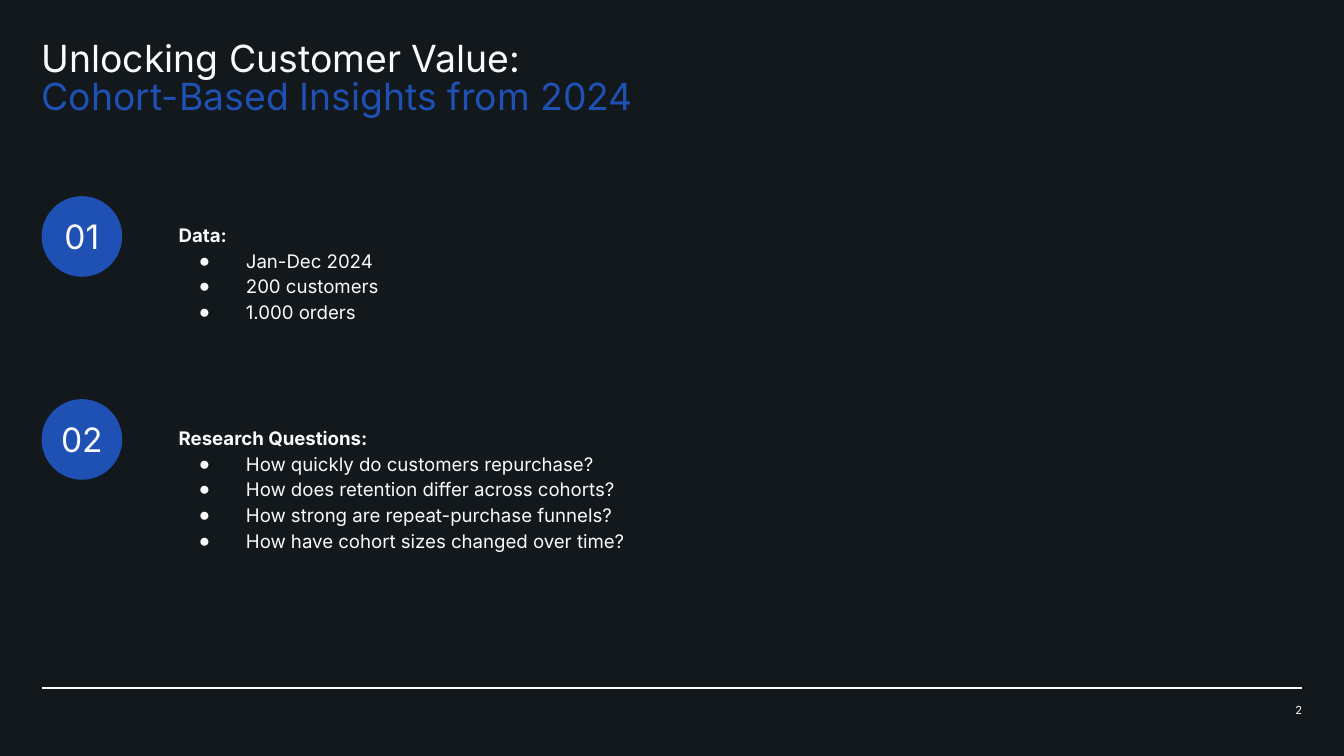
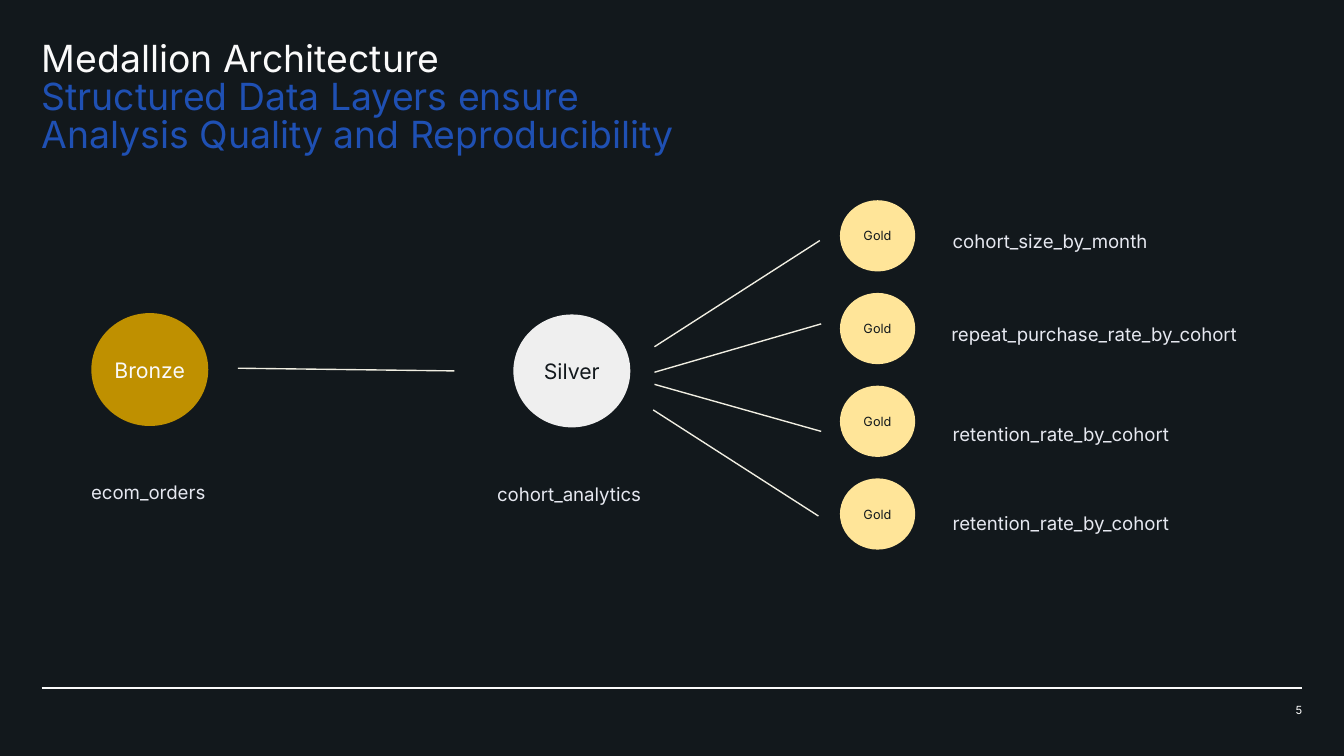
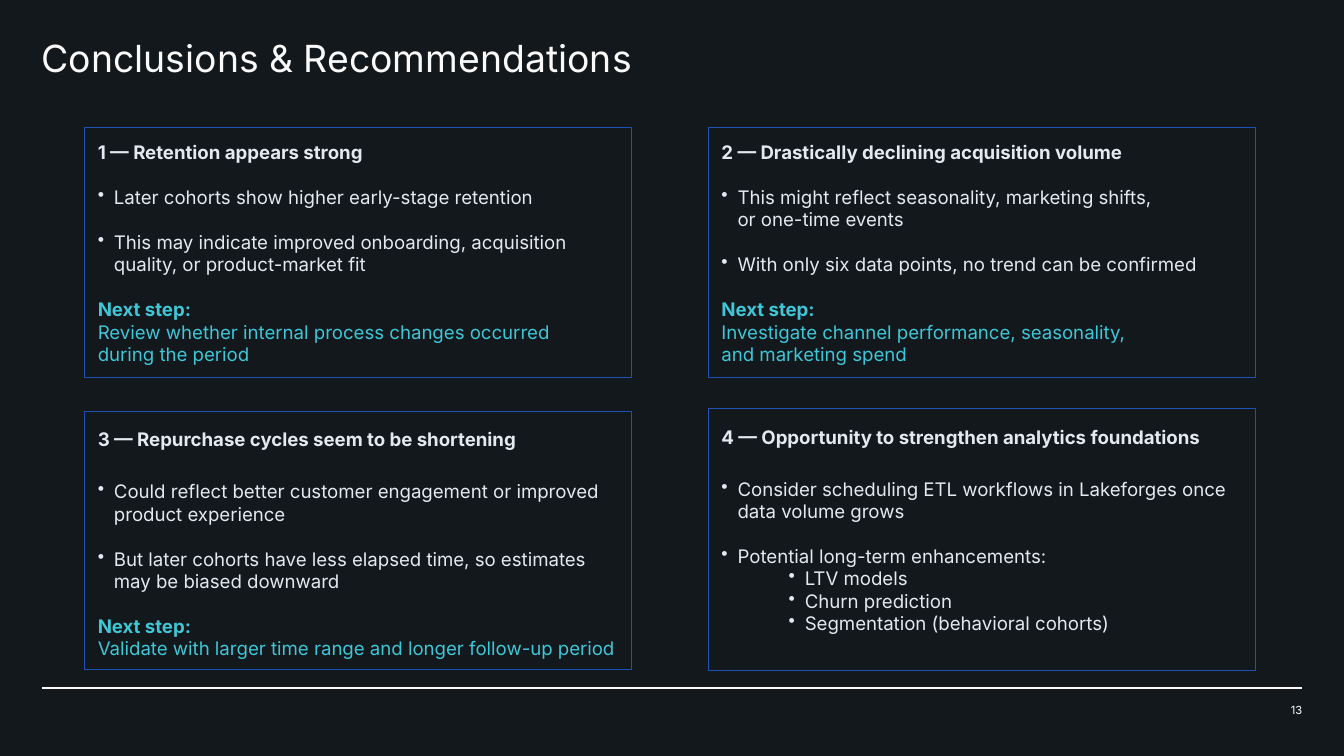
import pptx
import pptx.util
import pptx.dml.color
import pptx.enum.shapes
import pptx.enum.text
import pptx.oxml
import pptx.oxml.ns

Inches = pptx.util.Inches
Pt = pptx.util.Pt
Kind = pptx.enum.shapes.MSO_SHAPE
Align = pptx.enum.text.PP_ALIGN
Anchor = pptx.enum.text.MSO_ANCHOR
qn = pptx.oxml.ns.qn
FONT = "Inter"
HEX = {
    "dark": "12181C", "white": "FAFAFA", "blue": "1F50B3", "mist": "E6E8F0",
    "teal": "3FC6D7", "cream": "F0EEE2", "bronze": "BF9000",
    "silver": "EFEFEF", "gold": "FFE599",
}
INK = {name: pptx.dml.color.RGBColor.from_string(code) for name, code in HEX.items()}


def write(box, text, size=10, color="white", bold=False, align=Align.LEFT,
          line=1.0, before=0, bullet=None, left=0, hang=0):
    frame = box.text_frame
    para = frame.paragraphs[0] if not frame.text else frame.add_paragraph()
    para.text = text
    para.alignment = align
    para.line_spacing = line
    para.space_before = Pt(before)
    for run in para.runs:
        run.font.name = FONT
        run.font.size = Pt(size)
        run.font.bold = bold
        run.font.color.rgb = INK[color]
    for gap in para._p.findall(qn("a:br")):
        gap.append(pptx.oxml.parse_xml(
            f'<a:rPr {pptx.oxml.ns.nsdecls("a")} sz="{int(size * 100)}">'
            f'<a:latin typeface="{FONT}"/></a:rPr>'))
    props = para._p.get_or_add_pPr()
    props.set("marL", str(Inches(left)))
    props.set("indent", str(Inches(-hang)))
    if bullet:
        props.append(props.makeelement(qn("a:buChar"), {"char": bullet}))
    else:
        props.append(props.makeelement(qn("a:buNone"), {}))


def fit(box, spot, pad=0.1, anchor=Anchor.TOP):
    box.left, box.top, box.width, box.height = map(Inches, spot)
    frame = box.text_frame
    frame.word_wrap = True
    frame.auto_size = pptx.enum.text.MSO_AUTO_SIZE.NONE
    frame.vertical_anchor = anchor
    frame.margin_left = frame.margin_right = Inches(pad)
    frame.margin_top = frame.margin_bottom = Inches(pad)
    return box


deck = pptx.Presentation()
deck.slide_width = Inches(10)
deck.slide_height = Inches(10) * 9 // 16
back = deck.slide_master.background.fill
back.solid()
back.fore_color.rgb = INK["dark"]

heads = [
    (3, "2", 0.77, ["Unlocking Customer Value:", "Cohort-Based Insights from 2024"]),
    (5, "5", 0.77, ["Medallion Architecture", "Structured Data Layers ensure",
                    "Analysis Quality and Reproducibility"]),
    (5, "13", 0.5, ["Conclusions & Recommendations"]),
]
slides = []
for layout, number, height, lines in heads:
    slide = deck.slides.add_slide(deck.slide_layouts[layout])
    title = fit(slide.shapes.title, (0.31, 0.31, 9.38, height), pad=0)
    for i, text in enumerate(lines):
        write(title, text, size=20, color="blue" if i else "white", line=0.85)
    folio = fit(slide.shapes.add_textbox(0, 0, 0, 0), (9.09, 5.23, 0.6, 0.08), pad=0)
    write(folio, number, size=6, align=Align.RIGHT)
    slides.append(slide)
intro, layers, close = slides

topics = [
    (1, 1.54, 6.08, "Data:", ["Jan-Dec 2024", "200 customers", "1.000 orders"]),
    (2, 3.05, 7.86, "Research Questions:", [
        "How quickly do customers repurchase?",
        "How does retention differ across cohorts?",
        "How strong are repeat-purchase funnels?",
        "How have cohort sizes changed over time?"]),
]
for slot, top, width, head, items in topics:
    body = fit(intro.placeholders[slot], (1.23, top, width, 0.85))
    write(body, head, bold=True, line=1.15)
    for item in items:
        write(body, item, line=1.15, bullet="●", left=0.5, hang=0.35)
for hole in list(intro.placeholders):
    if not hole.text_frame.text:
        hole._element.getparent().remove(hole._element)

discs = [
    (intro, (0.31, 1.46, 0.6, 0.6), "01", 18, "blue", "white"),
    (intro, (0.31, 2.97, 0.6, 0.6), "02", 18, "blue", "white"),
    (layers, (0.68, 2.33, 0.87, 0.84), "Bronze", 11.4, "bronze", "white"),
    (layers, (3.82, 2.34, 0.87, 0.84), "Silver", 11.4, "silver", "dark"),
]
for i in range(4):
    discs.append((layers, (6.25, 1.49 + 0.69 * i, 0.56, 0.53), "Gold", 6.8, "gold", "dark"))
for slide, spot, text, size, fill, ink in discs:
    disc = fit(slide.shapes.add_shape(Kind.OVAL, 0, 0, 0, 0), spot, pad=0, anchor=Anchor.MIDDLE)
    disc.shadow.inherit = False
    disc.fill.solid()
    disc.fill.fore_color.rgb = INK[fill]
    disc.line.fill.background()
    write(disc, text, size=size, color=ink, align=Align.CENTER)

labels = [
    ("ecom_orders", (0.58, 3.48, 1.06, 0.43)),
    ("cohort_analytics", (3.6, 3.49, 1.3, 0.43)),
    ("cohort_size_by_month", (6.99, 1.61, 1.76, 0.27)),
    ("repeat_purchase_rate_by_cohort", (6.98, 2.3, 2.56, 0.27)),
    ("retention_rate_by_cohort", (6.99, 3.05, 2.55, 0.27)),
    ("retention_rate_by_cohort", (6.99, 3.71, 2.55, 0.27)),
]
for text, spot in labels:
    write(fit(layers.shapes.add_textbox(0, 0, 0, 0), spot), text, color="mist")

links = [
    (1.77, 2.74, 3.38, 2.76),
    (4.87, 2.58, 6.1, 1.79),
    (4.87, 2.77, 6.11, 2.41),
    (6.11, 3.21, 4.87, 2.86),
    (6.09, 3.84, 4.86, 3.05),
]
rules = [(slide, (0.31, 5.12, 9.69, 5.12), "white") for slide in slides]
rules += [(layers, ends, "cream") for ends in links]
for slide, ends, color in rules:
    rule = slide.shapes.add_connector(pptx.enum.shapes.MSO_CONNECTOR.STRAIGHT, *map(Inches, ends))
    rule.line.color.rgb = INK[color]
    rule.line.width = Pt(0.75)
    props = rule._element.spPr
    props.append(props.makeelement(qn("a:effectLst"), {}))

cards = [
    ((0.63, 0.95, 4.07, 1.86), 1.0, 12, "1 — Retention appears strong",
     ["Later cohorts show higher early-stage retention",
      "This may indicate improved onboarding, acquisition\vquality, or product-market fit"],
     [], "Review whether internal process changes occurred\vduring the period"),
    ((5.27, 0.95, 4.07, 1.86), 1.0, 12, "2 — Drastically declining acquisition volume",
     ["This might reflect seasonality, marketing shifts,\vor one-time events",
      "With only six data points, no trend can be confirmed"],
     [], "Investigate channel performance, seasonality,\vand marketing spend"),
    ((0.63, 3.06, 4.07, 1.92), 1.15, 16, "3 — Repurchase cycles seem to be shortening",
     ["Could reflect better customer engagement or improved\vproduct experience",
      "But later cohorts have less elapsed time, so estimates\vmay be biased downward"],
     [], "Validate with larger time range and longer follow-up period"),
    ((5.27, 3.04, 4.07, 1.95), 1.15, 16, "4 — Opportunity to strengthen analytics foundations",
     ["Consider scheduling ETL workflows in Lakeforges once\vdata volume grows",
      "Potential long-term enhancements:"],
     ["LTV models", "Churn prediction", "Segmentation (behavioral cohorts)"], ""),
]
for spot, line, gap, head, points, subs, step in cards:
    card = fit(close.shapes.add_shape(Kind.RECTANGLE, 0, 0, 0, 0), spot)
    card.shadow.inherit = False
    card.fill.background()
    card.line.color.rgb = INK["blue"]
    card.line.width = Pt(0.75)
    write(card, head, color="mist", bold=True, line=line)
    for i, point in enumerate(points):
        write(card, point, color="mist", before=12 if i else gap, bullet="•", left=0.12, hang=0.12)
    for sub in subs:
        write(card, sub, color="mist", bullet="•", left=0.62, hang=0.12)
    if step:
        write(card, "Next step:", color="teal", bold=True, before=12)
        write(card, step, color="teal")

deck.save("out.pptx")
